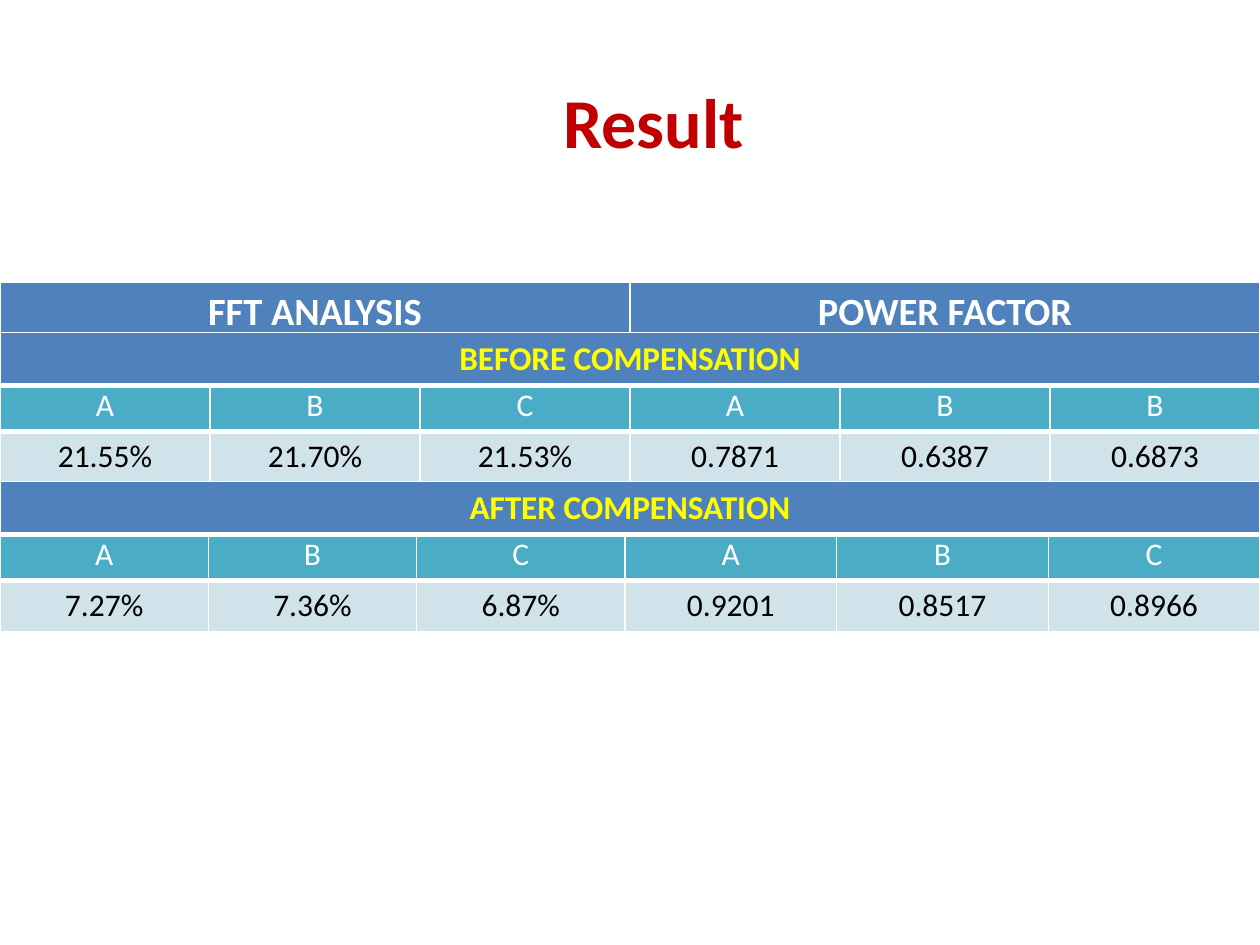
from lxml import etree
from pptx import Presentation
from pptx.dml.color import RGBColor
from pptx.enum import text
from pptx.oxml import ns
from pptx.util import Inches, Pt

FONT = "Calibri"
RED = RGBColor(0xC0, 0x00, 0x00)
WHITE = RGBColor(0xFF, 0xFF, 0xFF)
BLACK = RGBColor(0x00, 0x00, 0x00)
YELLOW = RGBColor(0xFF, 0xFF, 0x00)
BLUE = RGBColor(0x4F, 0x81, 0xBD)
TEAL = RGBColor(0x4B, 0xAC, 0xC6)
PALE = RGBColor(0xD0, 0xE3, 0xEA)

PAGE_WIDTH = 10
ROW_HEIGHT = 0.405


def format_paragraph(para, size, color, bold=False):
    para.alignment = text.PP_ALIGN.CENTER
    para.font.name = FONT
    para.font.size = Pt(size)
    para.font.bold = bold
    para.font.color.rgb = color


def set_borders(cell, bottom):
    properties = cell._tc.get_or_add_tcPr()
    for side, width in (("L", 1), ("R", 1), ("T", 1), ("B", bottom)):
        line = etree.SubElement(properties, ns.qn(f"a:ln{side}"), w=str(Pt(width)))
        fill = etree.SubElement(line, ns.qn("a:solidFill"))
        etree.SubElement(fill, ns.qn("a:srgbClr"), val=str(WHITE))


def fill_cell(cell, words, background, color, size, bold, bottom):
    set_borders(cell, bottom)
    cell.fill.solid()
    cell.fill.fore_color.rgb = background
    cell.text = words
    format_paragraph(cell.text_frame.paragraphs[0], size, color, bold)


def add_grid(page, left, top, width, rows, styles):
    frame = page.shapes.add_table(
        len(rows), len(rows[0]), Inches(left), Inches(top),
        Inches(width), Inches(ROW_HEIGHT * len(rows)))
    for row, words, style in zip(frame.table.rows, rows, styles):
        for cell, word in zip(row.cells, words):
            fill_cell(cell, word, *style)


def add_phase_table(page, left, top, width, phases, values):
    styles = [(TEAL, WHITE, 18, False, 3), (PALE, BLACK, 18, False, 1)]
    add_grid(page, left, top, width, [phases, values], styles)


def add_banner(page, top, labels, color, size):
    add_grid(page, 0, top, PAGE_WIDTH, [labels], [(BLUE, color, size, True, 3)])


def add_title(page, words):
    title = page.shapes.title
    title.left, title.top = Inches(0.5), Inches(0.33)
    title.width, title.height = Inches(9.37), Inches(1.25)
    title.text_frame.text = words
    title.text_frame.vertical_anchor = text.MSO_ANCHOR.MIDDLE
    format_paragraph(title.text_frame.paragraphs[0], 40, RED, True)


def main():
    deck = Presentation()
    deck.slide_width, deck.slide_height = Inches(PAGE_WIDTH), Inches(7.5)
    page = deck.slides.add_slide(deck.slide_layouts[5])
    add_title(page, "Result")

    phases = ["A", "B", "C"]
    measurements = [
        (3.02, 5, phases, ["21.55%", "21.70%", "21.53%"],
         ["A", "B", "B"], ["0.7871", "0.6387", "0.6873"]),
        (4.2, 4.96, phases, ["7.27%", "7.36%", "6.87%"],
         phases, ["0.9201", "0.8517", "0.8966"]),
    ]
    for top, split, fft_phases, fft, factor_phases, factors in measurements:
        add_phase_table(page, 0, top, split, fft_phases, fft)
        add_phase_table(page, split, top, PAGE_WIDTH - split, factor_phases, factors)

    add_banner(page, 2.24, ["FFT ANALYSIS", "POWER FACTOR"], WHITE, 22)
    add_banner(page, 2.64, ["BEFORE COMPENSATION"], YELLOW, 19)
    add_banner(page, 3.82, ["AFTER COMPENSATION"], YELLOW, 19)
    deck.save("out.pptx")


if __name__ == "__main__":
    main()
